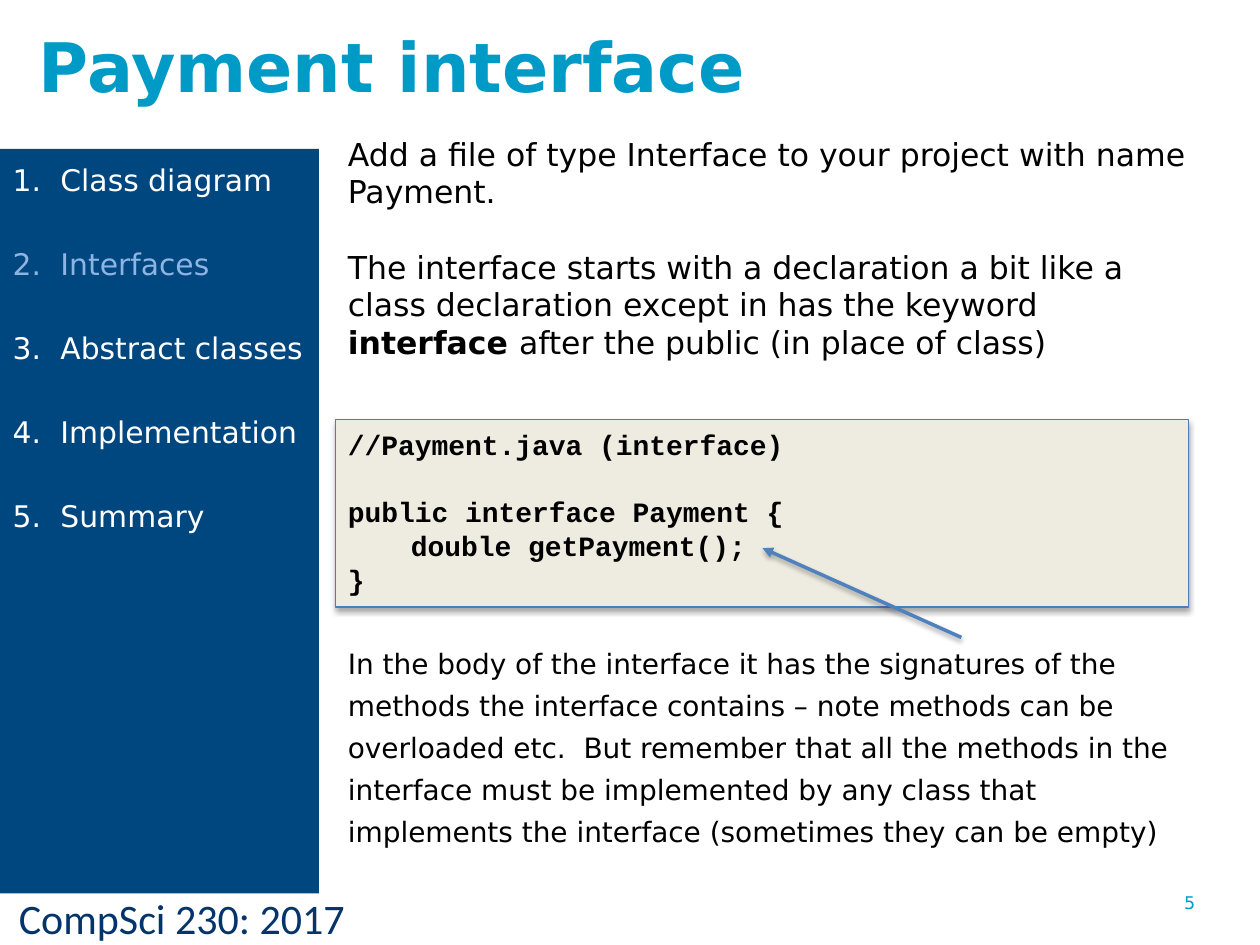
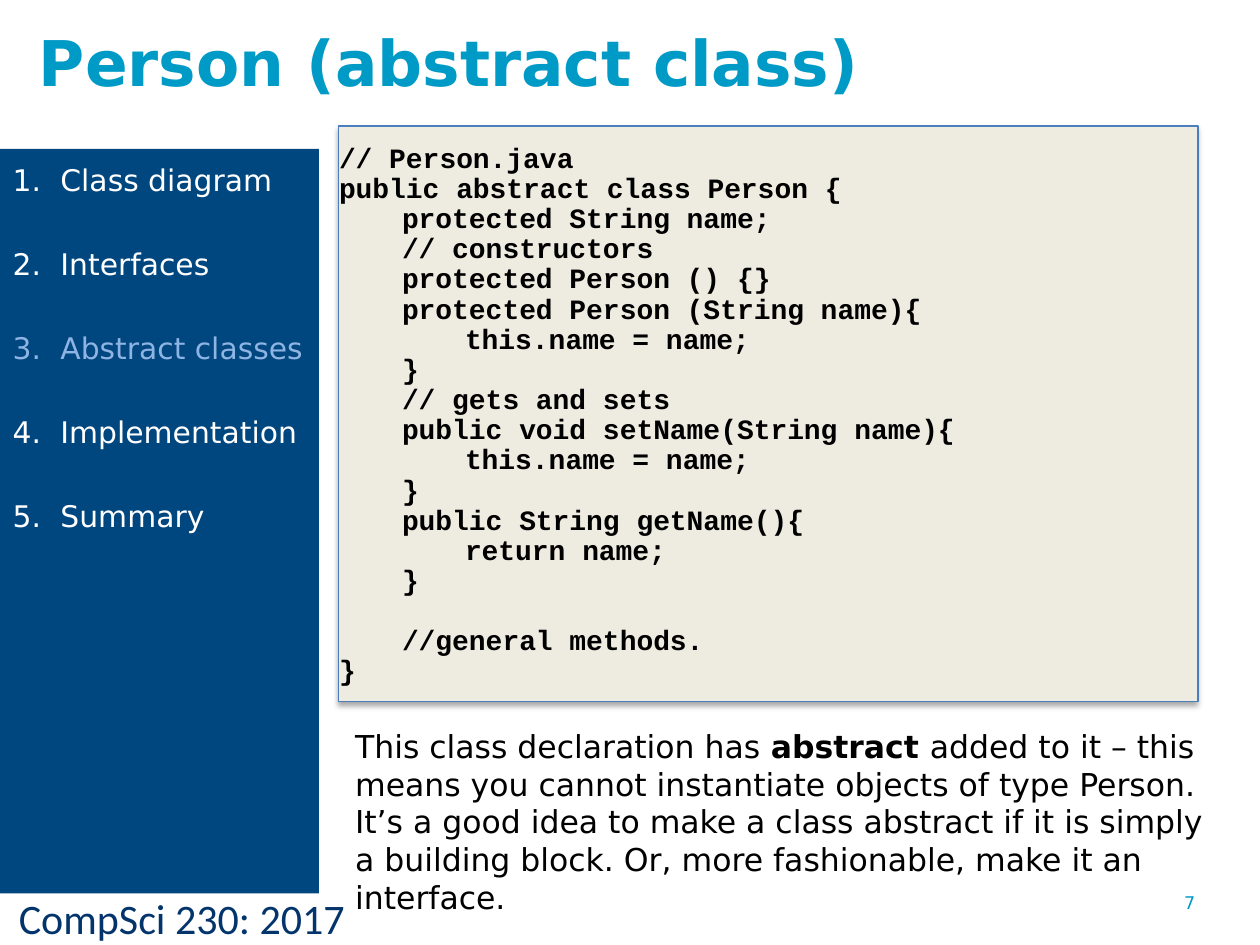
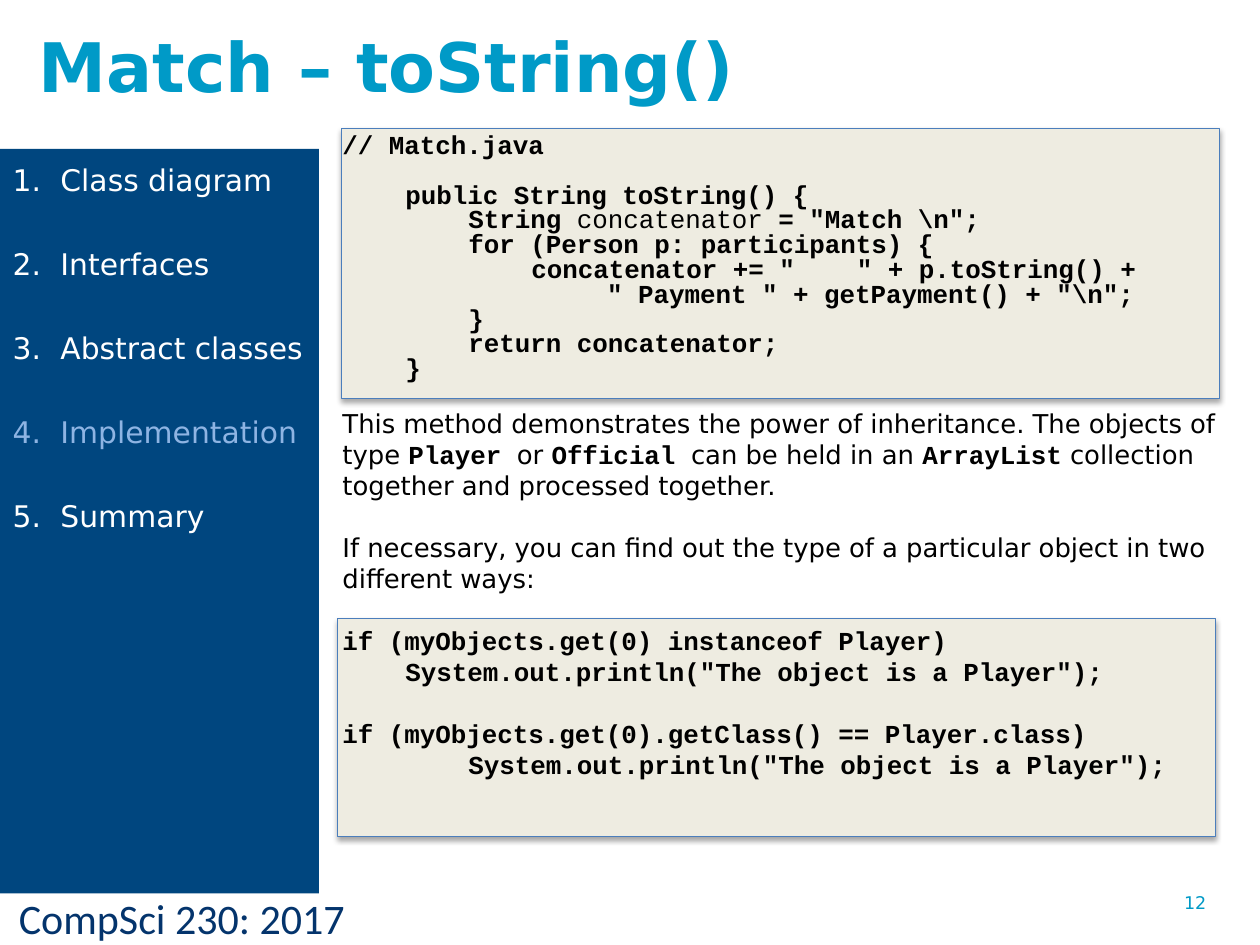
from dataclasses import dataclass

from lxml.etree import SubElement
from pptx import Presentation
from pptx.dml.color import RGBColor
from pptx.enum.shapes import MSO_CONNECTOR, MSO_SHAPE
from pptx.enum.text import MSO_ANCHOR, MSO_AUTO_SIZE, PP_ALIGN
from pptx.oxml.ns import qn
from pptx.util import Cm, Inches, Pt

CYAN = RGBColor(0x00, 0x9A, 0xC7)
NAVY = RGBColor(0x00, 0x46, 0x7F)
FOOTER_BLUE = RGBColor(0x04, 0x34, 0x6C)
CURRENT_TOPIC = RGBColor(0x8E, 0xB4, 0xE3)
CREAM = RGBColor(0xEE, 0xEC, 0xE1)
PANEL_EDGE = RGBColor(0x4B, 0x7E, 0xBC)
ARROW_BLUE = RGBColor(0x4F, 0x81, 0xBD)
BLACK = RGBColor(0, 0, 0)
WHITE = RGBColor(255, 255, 255)

SANS, MONO = "DejaVu Sans", "Courier New"
LEADING = 1.197
TOPIC_PITCH = 24
TAB = Inches(0.5)
TOPICS = ["Class diagram", "Interfaces", "Abstract classes", "Implementation", "Summary"]

PLAIN = {"name": SANS, "bold": False}
STRONG = {"name": SANS, "bold": True}
CODE = {"name": MONO, "bold": True}
LIGHT_CODE = {"name": MONO, "bold": False}


@dataclass
class Para:
    """A paragraph of (text, format) spans; line and before are in points."""
    spans: list
    size: float
    line: float
    before: float = 0
    left: int = 0
    hanging: int = 0
    color: RGBColor = BLACK
    numbered: bool = False


def single(text, size, look=PLAIN, color=BLACK):
    return Para([(text, look)], size, size * LEADING, color=color)


def prose(*spans, size, gap=0, line=None):
    spans = [(span, PLAIN) if isinstance(span, str) else span for span in spans]
    return Para(spans, size, line or size * LEADING, before=gap)


def code(listing, size, squeeze=1.0, gap=0):
    """Turn code into paragraphs: tabs become indents, empty lines become gaps."""
    line = size * LEADING * squeeze
    paras = []
    for row in listing.strip("\n").split("\n"):
        text = row.lstrip("\t")
        if not text:
            gap += line
            continue
        left = TAB * (len(row) - len(text))
        paras.append(Para([(text, CODE)], size, line, gap, left))
        gap = 0
    return paras


class LectureDeck:
    def __init__(self):
        self.deck = Presentation()
        self.deck.slide_width, self.deck.slide_height = Cm(25.4), Cm(19.05)
        self.page = None

    def start(self, title, number, topic, title_size=39):
        self.page = self.deck.slides.add_slide(self.deck.slide_layouts[3])
        heading = single(title, title_size, STRONG, CYAN)
        self.fill_text(self.page.shapes.title, (0.53, 0.36, 18.11, 1.98), [heading])
        self.text_box((0.13, 17.88, 10.29, 1.27),
                      [single("CompSci 230: 2017", 24, {"name": "Calibri"}, FOOTER_BLUE)])
        self.text_box((23.62, 17.86, 1.78, 1.32), [single(str(number), 10, color=CYAN)])
        self.sidebar(topic)

    def sidebar(self, topic):
        band = self.page.placeholders[2]
        band.fill.solid()
        band.fill.fore_color.rgb = NAVY
        self.fill_text(band, (0, 3, 6.43, 15.01), [
            Para([(name, PLAIN)], 17, TOPIC_PITCH, TOPIC_PITCH if index else 0,
                 left=Inches(0.38), hanging=Inches(0.38), numbered=True,
                 color=CURRENT_TOPIC if name == topic else WHITE)
            for index, name in enumerate(TOPICS)])

    def body(self, place, paras):
        self.fill_text(self.page.placeholders[1], place, paras)

    def text_box(self, place, paras):
        box = self.page.shapes.add_textbox(0, 0, 0, 0)
        self.fill_text(box, place, paras)

    def code_panel(self, place):
        """Add a shaded panel behind the body text."""
        panel = self.page.shapes.add_shape(MSO_SHAPE.RECTANGLE, *map(Cm, place))
        panel.fill.solid()
        panel.fill.fore_color.rgb = CREAM
        panel.line.color.rgb = PANEL_EDGE
        panel.line.width = Pt(0.75)
        self.cast_shadow(panel)
        self.page.placeholders[1].element.addprevious(panel.element)

    def arrow(self, start, end):
        arrow = self.page.shapes.add_connector(
            MSO_CONNECTOR.STRAIGHT, *map(Cm, start + end))
        arrow.line.color.rgb = ARROW_BLUE
        arrow.line.width = Pt(2)
        outline = arrow.element.spPr.find(qn("a:ln"))
        SubElement(outline, qn("a:tailEnd"), type="triangle")
        self.cast_shadow(arrow)

    @staticmethod
    def cast_shadow(shape):
        effects = SubElement(shape.element.spPr, qn("a:effectLst"))
        shadow = SubElement(effects, qn("a:outerShdw"), blurRad=str(Pt(3.1)),
                            dist=str(Pt(1.8)), dir="5400000", rotWithShape="0")
        tint = SubElement(shadow, qn("a:srgbClr"), val="000000")
        SubElement(tint, qn("a:alpha"), val="35000")

    @staticmethod
    def fill_text(shape, place, paras):
        for name, length in zip(("left", "top", "width", "height"), place):
            setattr(shape, name, Cm(length))
        frame = shape.text_frame
        frame_format = {"word_wrap": True, "auto_size": MSO_AUTO_SIZE.NONE,
                        "vertical_anchor": MSO_ANCHOR.TOP}
        for name, value in frame_format.items():
            setattr(frame, name, value)
        for index, item in enumerate(paras):
            para = frame.add_paragraph() if index else frame.paragraphs[0]
            para_format = {"alignment": PP_ALIGN.LEFT, "line_spacing": Pt(item.line),
                           "space_before": Pt(item.before), "space_after": Pt(0)}
            for name, value in para_format.items():
                setattr(para, name, value)
            properties = para._p.get_or_add_pPr()
            properties.set("marL", str(item.left))
            properties.set("indent", str(-item.hanging))
            if item.numbered:
                SubElement(properties, qn("a:buFont"), typeface="+mj-lt")
                SubElement(properties, qn("a:buAutoNum"), type="arabicPeriod")
            else:
                SubElement(properties, qn("a:buNone"))
            for text, look in item.spans:
                span = para.add_run()
                span.text = text
                span.font.color.rgb = item.color
                for name, value in {"size": Pt(item.size), **look}.items():
                    setattr(span.font, name, value)


PAYMENT_CODE = """
//Payment.java (interface)

public interface Payment {
\tdouble getPayment();
}
"""

PERSON_CODE = """
// Person.java
public abstract class Person {
\tprotected String name;
\t// constructors
\tprotected Person () {}
\tprotected Person (String name){
\t\tthis.name = name;
\t}
\t// gets and sets
\tpublic void setName(String name){
\t\tthis.name = name;
\t}
\tpublic String getName(){
\t\treturn name;
\t}

\t//general methods.
}
"""

MATCH_CODE = r"""
// Match.java

	public String toString() {
		String concatenator = "Match \n";
		for (Person p: participants) {
			concatenator += "    " + p.toString() +
" Payment " + getPayment() + "\n";
		}
		return concatenator;
	}
"""

TYPE_CODE = """
if (myObjects.get(0) instanceof Player)
\tSystem.out.println("The object is a Player");

if (myObjects.get(0).getClass() == Player.class)
\t\tSystem.out.println("The object is a Player");
"""


def payment_slide(lecture):
    lecture.start("Payment interface", 5, "Interfaces")
    lecture.code_panel((6.76, 8.46, 17.2, 3.78))
    lecture.body((6.76, 2.59, 17.63, 14.73), [
        prose("Add a file of type Interface to your project with name Payment.", size=18),
        prose("The interface starts with a declaration a bit like a class declaration "
              "except in has the keyword ", ("interface ", STRONG),
              "after the public (in place of class)", size=18, gap=18 * LEADING),
        *code(PAYMENT_CODE, 16, gap=(18 + 14) * LEADING),
        prose("In the body of the interface it has the signatures of the methods the "
              "interface contains – note methods can be overloaded etc.  But remember "
              "that all the methods in the interface must be implemented by any class "
              "that implements the interface (sometimes they can be empty)",
              size=16, gap=24, line=24),
    ])
    lecture.arrow((19.38, 12.85), (15.37, 11.05))


def person_slide(lecture):
    lecture.start("Person (abstract class)", 7, "Abstract classes", title_size=36)
    lecture.code_panel((6.83, 2.54, 17.32, 11.61))
    lecture.body((6.58, 2.77, 18.39, 11.4), code(PERSON_CODE, 16, squeeze=0.9))
    lecture.text_box((6.91, 14.53, 17.75, 4.5), [
        prose("This class declaration has ", ("abstract ", STRONG),
              "added to it – this means you cannot instantiate objects of type Person.  "
              "It’s a good idea to make a class abstract if it is simply a building "
              "block. Or, more fashionable, make it an interface.", size=18)])


def match_slide(lecture):
    size = 14.8
    blank = size * LEADING
    lecture.start("Match – toString()", 12, "Implementation")
    lecture.code_panel((6.81, 12.47, 17.7, 4.39))
    lecture.code_panel((6.88, 2.59, 17.7, 5.44))
    method = code(MATCH_CODE, size, squeeze=0.8)
    for para in method:
        text = para.spans[0][0]
        if text.startswith("String "):
            para.spans = [("String ", CODE), ("concatenator ", LIGHT_CODE),
                          (text.removeprefix("String concatenator "), CODE)]
        elif text.startswith('" Payment'):
            para.left = Inches(2.1)
    lecture.body((6.65, 2.59, 18.52, 14.73), [
        *method,
        prose("This method demonstrates the power of inheritance. The objects of type ",
              ("Player ", CODE), "or ", ("Official ", CODE), "can be held in an ",
              ("ArrayList", CODE), " collection together and processed together.",
              size=size, gap=blank * 0.8),
        prose("If necessary, you can find out the type of a particular object in two "
              "different ways:", size=size, gap=blank),
        *code(TYPE_CODE, size, gap=blank),
    ])


def main():
    lecture = LectureDeck()
    payment_slide(lecture)
    person_slide(lecture)
    match_slide(lecture)
    lecture.deck.save("out.pptx")


if __name__ == "__main__":
    main()
